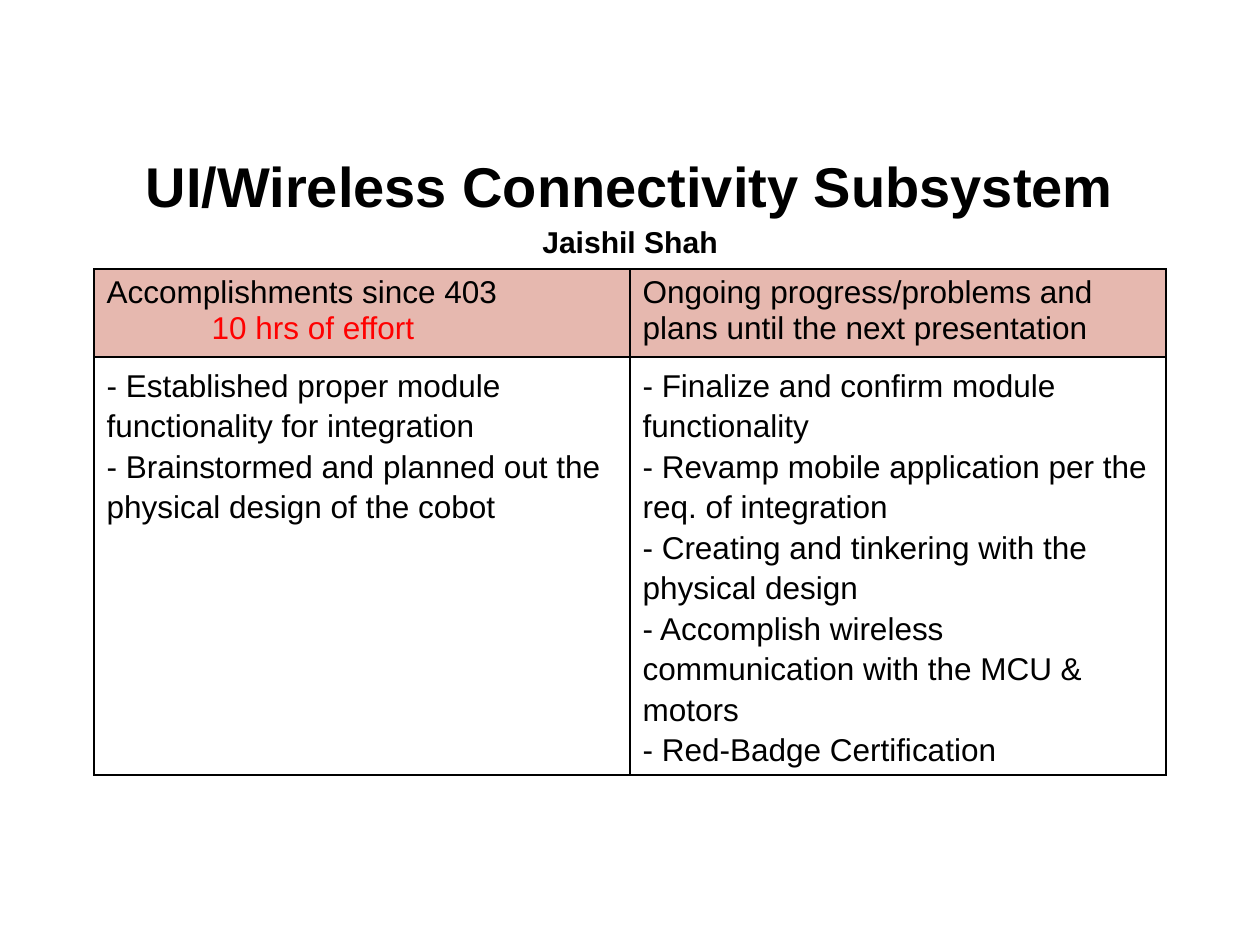
"""Build the subsystem progress slide with its two-column status table."""
from lxml.etree import SubElement
from pptx import Presentation
from pptx.dml.color import RGBColor
from pptx.enum.text import MSO_ANCHOR, MSO_AUTO_SIZE, PP_ALIGN
from pptx.oxml.ns import qn
from pptx.util import Emu, Pt

TITLE = [("UI/Wireless Connectivity Subsystem", 32), ("Jaishil Shah", 17.2)]
BLACK, RED, PINK = "000000", "FF0000", "E6B8AF"
EFFORT = "10 hrs of effort"
EFFORT_INDENT = 105
ROWS = [
    [
        ["Accomplishments since 403", EFFORT],
        ["Ongoing progress/problems and plans until the next presentation"],
    ],
    [
        [
            "- Established proper module functionality for integration",
            "- Brainstormed and planned out the physical design of the cobot",
        ],
        [
            "- Finalize and confirm module functionality",
            "- Revamp mobile application per the req. of integration",
            "- Creating and tinkering with the physical design",
            "- Accomplish wireless communication with the MCU & motors",
            "- Red-Badge Certification",
        ],
    ],
]
SLIDE = (1260, 945)
TITLE_BOX = (63, 145, 1134, 111)
TABLE_LEFT, TABLE_TOP = 94, 269
COLUMN_WIDTH = 536
ROW_HEIGHTS = [88, 418]


def px(value):
    return Emu(round(value * 914400 / 126))


def color(value):
    return RGBColor.from_string(value)


def set_font(paragraph, size, value=BLACK, bold=False):
    font = paragraph.font
    font.name, font.size, font.bold = "Arial", Pt(size), bold
    font.color.rgb = color(value)


def add_borders(cell):
    properties = cell._tc.get_or_add_tcPr()
    for side in ("a:lnL", "a:lnR", "a:lnT", "a:lnB"):
        line = SubElement(properties, qn(side), w=str(Pt(1)))
        fill = SubElement(line, qn("a:solidFill"))
        SubElement(fill, qn("a:srgbClr"), val=BLACK)


def write_title(title):
    title.left, title.top, title.width, title.height = map(px, TITLE_BOX)
    frame = title.text_frame
    frame.text = "\n".join(text for text, size in TITLE)
    frame.word_wrap = True
    frame.auto_size = MSO_AUTO_SIZE.NONE
    frame.vertical_anchor = MSO_ANCHOR.MIDDLE
    for paragraph, (text, size) in zip(frame.paragraphs, TITLE):
        paragraph.alignment = PP_ALIGN.CENTER
        paragraph.line_spacing = 1.15
        set_font(paragraph, size, bold=True)


def write_cell(cell, lines, is_header):
    add_borders(cell)
    if is_header:
        cell.fill.solid()
        cell.fill.fore_color.rgb = color(PINK)
    else:
        cell.fill.background()
    cell.text = "\n".join(lines)
    for paragraph, line in zip(cell.text_frame.paragraphs, lines):
        paragraph.line_spacing = 1.0 if is_header else 1.15
        if line == EFFORT:
            paragraph._p.get_or_add_pPr().set("marL", str(px(EFFORT_INDENT)))
        set_font(paragraph, 18, RED if line == EFFORT else BLACK)


def add_status_table(page):
    columns = len(ROWS[0])
    table = page.shapes.add_table(
        len(ROWS), columns, px(TABLE_LEFT), px(TABLE_TOP),
        px(columns * COLUMN_WIDTH), px(sum(ROW_HEIGHTS)),
    ).table
    table.first_row = table.horz_banding = False
    for column in table.columns:
        column.width = px(COLUMN_WIDTH)
    for index, (row, height) in enumerate(zip(table.rows, ROW_HEIGHTS)):
        row.height = px(height)
        for cell, lines in zip(row.cells, ROWS[index]):
            write_cell(cell, lines, is_header=index == 0)


def main():
    deck = Presentation()
    deck.slide_width, deck.slide_height = map(px, SLIDE)
    page = deck.slides.add_slide(deck.slide_layouts[5])
    write_title(page.shapes.title)
    add_status_table(page)
    deck.save("out.pptx")


if __name__ == "__main__":
    main()
